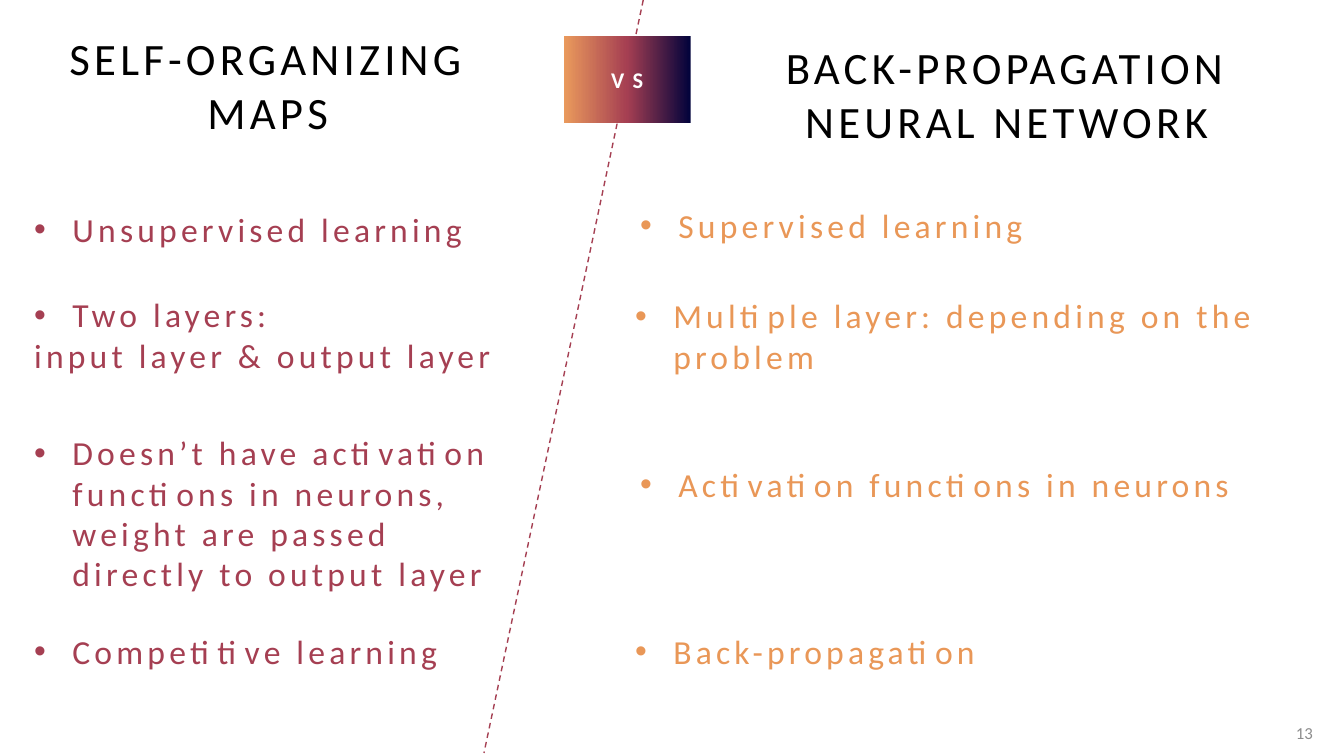
from copy import deepcopy
from pptx import Presentation
from pptx.dml.color import RGBColor as Rgb
from pptx.enum.dml import MSO_LINE as Dash
from pptx.enum.shapes import MSO_CONNECTOR as Conn, MSO_SHAPE as Shape
from pptx.enum.text import MSO_ANCHOR as Anchor, MSO_AUTO_SIZE as Auto, PP_ALIGN as Align
from pptx.oxml.ns import qn
from pptx.oxml.xmlchemy import OxmlElement as Tag
from pptx.util import Inches, Pt

RED, GOLD, NAVY = "A53F52", "E99757", "01023B"
HEAD = {"size": 32, "color": "000000", "gap": 3}
ITEM = {"size": 24, "gap": 3}
BADGE = {"size": 16, "color": "FFFFFF", "gap": 6, "bold": True}
PAGE = {"size": 12, "color": "8C8C8C"}


def tint(code):
    return Rgb.from_string(code)


class Deck:
    """Holds the style and the current slide."""

    def __init__(self, wide, high, face):
        self.file = Presentation()
        self.file.slide_width, self.file.slide_height = Inches(wide), Inches(high)
        self.slide = self.file.slides.add_slide(self.file.slide_layouts[6])
        self.face = face

    def words(self, para, text, look, align):
        run = para.add_run()
        run.text = text
        para.alignment = align
        form = {"name": self.face, "size": Pt(look["size"]), "bold": look.get("bold", False)}
        for key, val in form.items():
            setattr(run.font, key, val)
        run.font.color.rgb = tint(look["color"])
        if "gap" in look:
            run._r.get_or_add_rPr().set("spc", str(look["gap"] * 100))

    def text(self, box, text, look, align=Align.LEFT, anchor=Anchor.TOP, auto=Auto.NONE):
        frame = self.slide.shapes.add_textbox(*map(Inches, box)).text_frame
        form = {"word_wrap": True, "vertical_anchor": anchor, "auto_size": auto}
        for key, val in form.items():
            setattr(frame, key, val)
        self.words(frame.paragraphs[0], text, look, align)
        return frame

    def bullet(self, box, text, color, more=None):
        look = {**ITEM, "color": color}
        frame = self.text(box, text, look, auto=Auto.SHAPE_TO_FIT_TEXT)
        props = frame.paragraphs[0]._p.get_or_add_pPr()
        props.set("marL", str(Inches(0.38)))
        props.set("indent", str(-Inches(0.38)))
        for name, key, val in (("a:buFont", "typeface", "Arial"), ("a:buChar", "char", "•")):
            mark = Tag(name)
            mark.set(key, val)
            props.append(mark)
        if more:
            self.words(frame.add_paragraph(), more, look, Align.LEFT)

    def badge(self, box, text, colors):
        shape = self.slide.shapes.add_shape(Shape.RECTANGLE, *map(Inches, box))
        shape.shadow.inherit = False
        shape.line.fill.background()
        fill = shape.fill
        fill.gradient()
        fill.gradient_angle = 180
        stops = shape._element.spPr.find(qn("a:gradFill")).find(qn("a:gsLst"))
        stops.insert(1, deepcopy(stops[0]))
        for num, (stop, color) in enumerate(zip(fill.gradient_stops, colors)):
            stop.position = num / (len(colors) - 1)
            stop.color.rgb = tint(color)
        shape.text_frame.vertical_anchor = Anchor.MIDDLE
        self.words(shape.text_frame.paragraphs[0], text, BADGE, Align.CENTER)

    def line(self, ends, color):
        link = self.slide.shapes.add_connector(Conn.STRAIGHT, *map(Inches, ends))
        link.line.color.rgb = tint(color)
        link.line.width = Pt(1)
        link.line.dash_style = Dash.DASH
        link._element.spPr.append(Tag("a:effectLst"))


def main():
    deck = Deck(13.33, 7.5, "Calibri")
    deck.line((6.38, 0, 4.8, 7.47), RED)
    deck.badge((5.59, 0.36, 1.26, 0.86), "VS", (NAVY, RED, "EA9A5C"))
    for box, text in (
        ((0.51, 0.36, 4.29, 1.06), "SELF-ORGANIZING MAPS"),
        ((7.64, 0.19, 4.69, 1.32), "BACK-PROPAGATION NEURAL NETWORK"),
    ):
        deck.text(box, text, HEAD, Align.CENTER, Anchor.BOTTOM)
    for top, wide, high, *text in (
        (2.02, 4.49, 0.5, "Unsupervised learning"),
        (2.87, 5.42, 0.91, "Two layers:", "input layer & output layer"),
        (4.24, 4.97, 1.72, "Doesn’t have activation functions in neurons, "
         "weight are passed directly to output layer"),
        (6.21, 4.57, 0.5, "Competitive learning"),
    ):
        deck.bullet((0.24, top, wide, high), text[0], RED, *text[1:])
    for left, top, wide, high, text in (
        (6.25, 1.98, 5.66, 0.5, "Supervised learning"),
        (6.2, 2.88, 6.67, 0.91, "Multiple layer: depending on the problem"),
        (6.25, 4.55, 6.67, 0.5, "Activation functions in neurons"),
        (6.2, 6.21, 6.67, 0.5, "Back-propagation"),
    ):
        deck.bullet((left, top, wide, high), text, GOLD)
    deck.text((12.63, 7.07, 0.49, 0.4), "13", PAGE, Align.RIGHT, Anchor.MIDDLE)
    deck.file.save("out.pptx")


if __name__ == "__main__":
    main()
